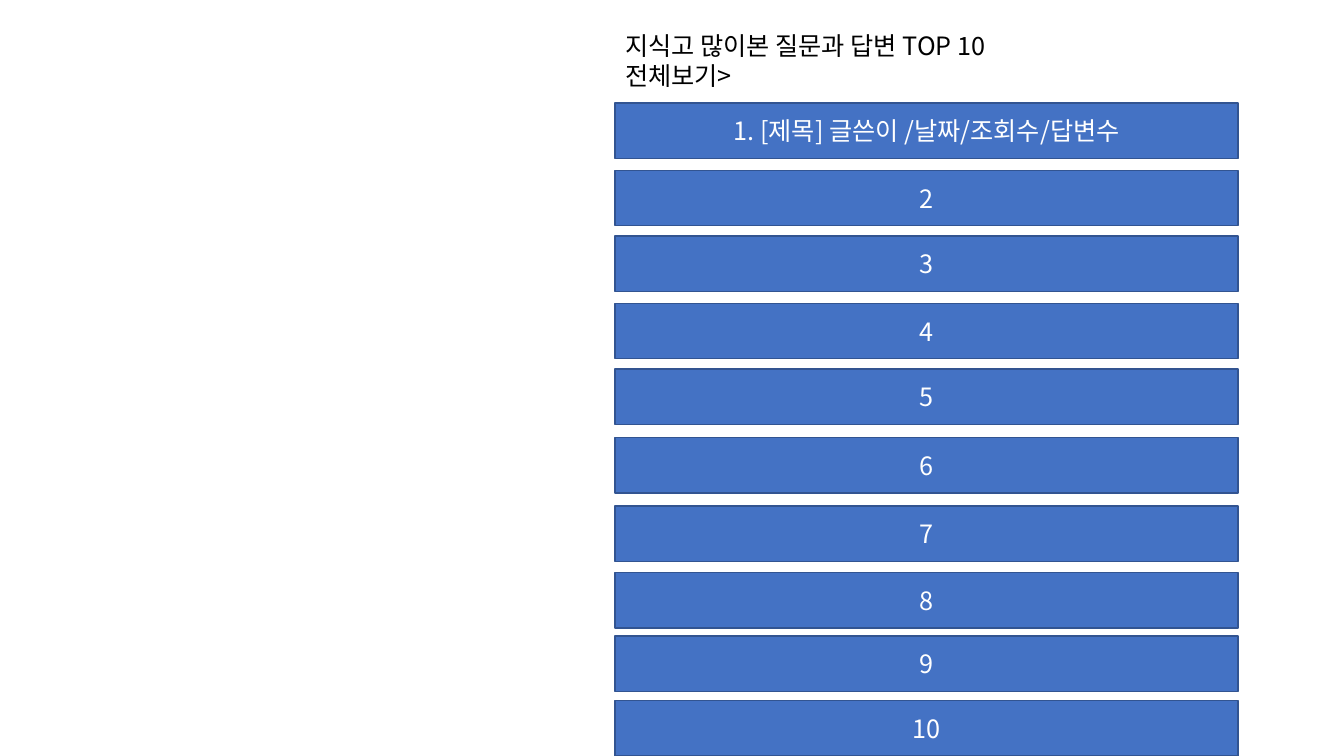
from lxml.etree import SubElement
from pptx import Presentation
from pptx.dml.color import RGBColor
from pptx.enum.shapes import MSO_SHAPE
from pptx.enum.text import MSO_ANCHOR, MSO_AUTO_SIZE, PP_ALIGN
from pptx.oxml.ns import qn
from pptx.util import Inches, Pt

FONT = "Noto Sans CJK KR"
BLACK = RGBColor(0x00, 0x00, 0x00)
WHITE = RGBColor(0xFF, 0xFF, 0xFF)
BLUE = RGBColor(0x44, 0x72, 0xC4)
DARK_BLUE = RGBColor(0x32, 0x54, 0x91)

HEADING = ["지식고 많이본 질문과 답변 TOP 10", "전체보기>"]
QUESTIONS = ["1. [제목] 글쓴이 /날짜/조회수/답변수"] + [str(rank) for rank in range(2, 11)]
QUESTION_TOPS = [1.02, 1.69, 2.34, 3.01, 3.66, 4.34, 5.02, 5.68, 6.31, 6.95]
LIST_LEFT = 6.1


def add_text(paragraph, text, color, align):
    paragraph.alignment = align
    run = paragraph.add_run()
    run.text = text
    run.font.size = Pt(18)
    run.font.name = FONT
    run.font.color.rgb = color
    SubElement(run.font._element, qn("a:ea"), typeface=FONT)


def place_heading(slide, left, top, width, height):
    heading = slide.shapes.title
    heading.left, heading.top = Inches(left), Inches(top)
    heading.width, heading.height = Inches(width), Inches(height)
    frame = heading.text_frame
    frame.word_wrap = True
    frame.auto_size = MSO_AUTO_SIZE.NONE
    frame.vertical_anchor = MSO_ANCHOR.TOP
    for index, line in enumerate(HEADING):
        paragraph = frame.add_paragraph() if index else frame.paragraphs[0]
        paragraph.line_spacing = Pt(21.5)
        paragraph.space_before = Pt(0)
        add_text(paragraph, line, BLACK, PP_ALIGN.LEFT)


def add_question(slide, text, left, top, width, height):
    question = slide.shapes.add_shape(
        MSO_SHAPE.RECTANGLE, Inches(left), Inches(top), Inches(width), Inches(height))
    question.shadow.inherit = False
    question.fill.solid()
    question.fill.fore_color.rgb = BLUE
    question.line.color.rgb = DARK_BLUE
    question.line.width = Pt(1)
    question.text_frame.vertical_anchor = MSO_ANCHOR.MIDDLE
    add_text(question.text_frame.paragraphs[0], text, WHITE, PP_ALIGN.CENTER)


def main():
    deck = Presentation()
    deck.slide_width, deck.slide_height = Inches(13.33), Inches(7.5)
    slide = deck.slides.add_slide(deck.slide_layouts[5])
    place_heading(slide, LIST_LEFT, 0.25, 4.95, 0.71)
    for text, top in zip(QUESTIONS, QUESTION_TOPS):
        add_question(slide, text, LIST_LEFT, top, 6.18, 0.55)
    deck.save("out.pptx")


if __name__ == "__main__":
    main()
